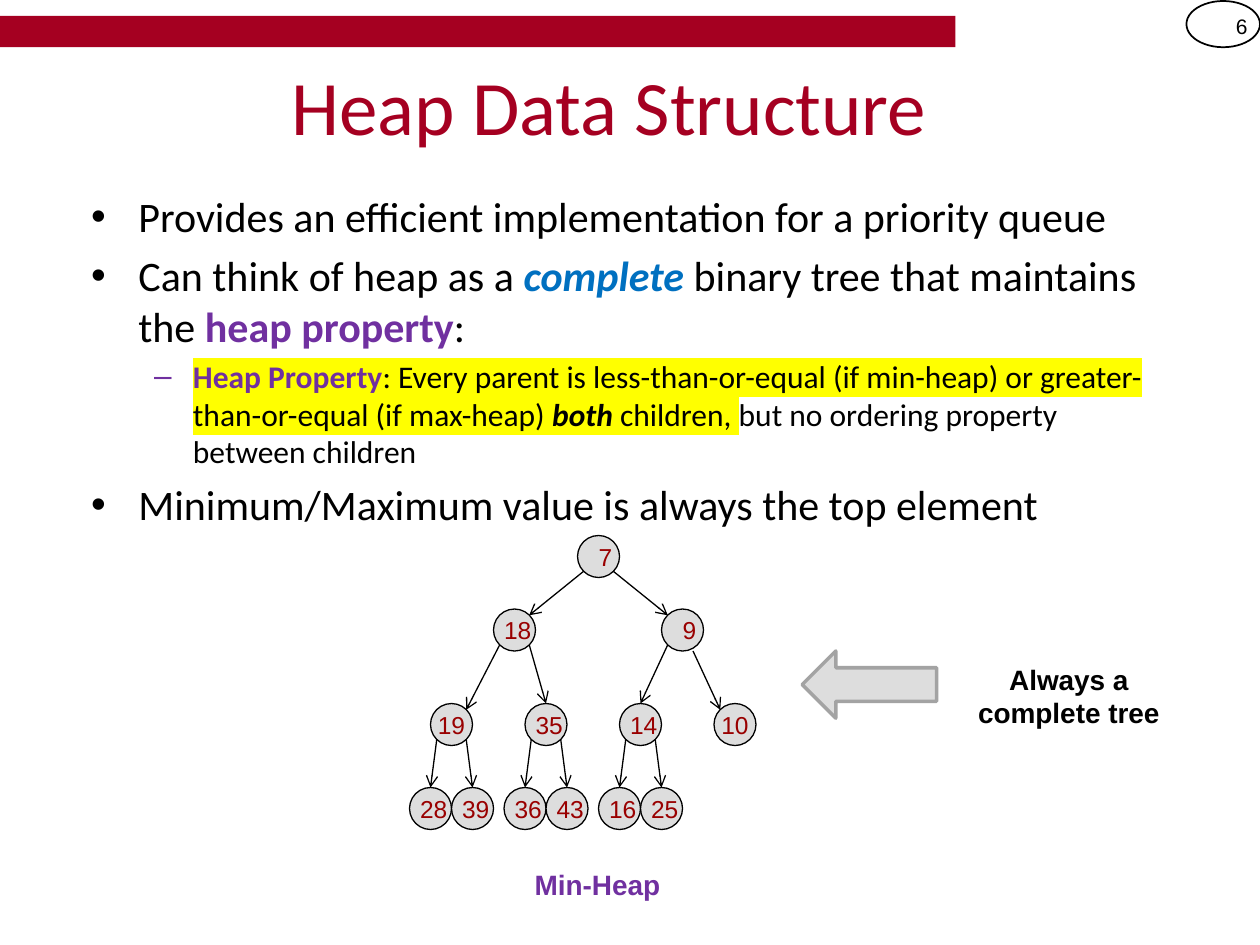
"""Build the Heap Data Structure slide with a min-heap diagram."""
import pptx
import pptx.util
import pptx.dml.color
import pptx.enum.shapes
import pptx.enum.text
import pptx.oxml.ns
import lxml.etree

PX = 7620
RGBColor = pptx.dml.color.RGBColor
BLACK = RGBColor(0x00, 0x00, 0x00)
CRIMSON = RGBColor(0xA5, 0x00, 0x21)
DARK_RED = RGBColor(0x99, 0x00, 0x00)
PURPLE = RGBColor(0x70, 0x30, 0xA0)
BLUE = RGBColor(0x00, 0x70, 0xC0)
LIGHT_GRAY = RGBColor(0xDD, 0xDD, 0xDD)
MID_GRAY = RGBColor(0xA3, 0xA3, 0xA3)
SHAPE = pptx.enum.shapes.MSO_SHAPE
ALIGN = pptx.enum.text.PP_ALIGN
ANCHOR = pptx.enum.text.MSO_ANCHOR
Pt = pptx.util.Pt
qn = pptx.oxml.ns.qn

presentation = pptx.Presentation()
presentation.slide_width = 1200 * PX
presentation.slide_height = 900 * PX
slide = presentation.slides.add_slide(presentation.slide_layouts[5])


def add_shape(kind, box, fill=None, line=None, width=0.75):
    shape = slide.shapes.add_shape(kind, *[value * PX for value in box])
    shape.shadow.inherit = False
    if fill is None:
        shape.fill.background()
    else:
        shape.fill.solid()
        shape.fill.fore_color.rgb = fill
    if line is None:
        shape.line.fill.background()
    else:
        shape.line.color.rgb = line
        shape.line.width = Pt(width)


def add_label(text, box, size, color, bold=False, align=ALIGN.CENTER):
    frame = slide.shapes.add_textbox(*[value * PX for value in box]).text_frame
    frame.word_wrap = True
    paragraph = frame.paragraphs[0]
    paragraph.text = text
    paragraph.alignment = align
    paragraph.font.name = "Arial"
    paragraph.font.size = Pt(size)
    paragraph.font.bold = bold
    paragraph.font.color.rgb = color
    return frame


add_shape(SHAPE.RECTANGLE, (0, 15, 910, 30), fill=CRIMSON)
add_shape(SHAPE.OVAL, (1130, 1, 70, 44), line=BLACK, width=1)
number = add_label("6", (1130, 1, 70, 48), 12, BLACK, align=ALIGN.RIGHT)
number.vertical_anchor = ANCHOR.MIDDLE

title = slide.shapes.title
title.left, title.top, title.width, title.height = 40 * PX, 40 * PX, 1080 * PX, 120 * PX
title.text_frame.text = "Heap Data Structure"
title.text_frame.vertical_anchor = ANCHOR.MIDDLE
paragraph = title.text_frame.paragraphs[0]
paragraph.alignment = ALIGN.CENTER
paragraph.font.name = "Calibri"
paragraph.font.size = Pt(44)
paragraph.font.color.rgb = CRIMSON

bullets = [
    (0, [("Provides an efficient implementation for a priority queue", BLACK, "")]),
    (0, [("Can think of heap as a ", BLACK, ""), ("complete", BLUE, "bi"),
         (" binary tree that maintains the ", BLACK, ""),
         ("heap property", PURPLE, "b"), (":", BLACK, "")]),
    (1, [("Heap Property", PURPLE, "bh"),
         (": Every parent is less-than-or-equal (if min-heap) or "
          "greater-than-or-equal (if max-heap) ", BLACK, "h"),
         ("both", BLACK, "bih"), (" children, ", BLACK, "h"),
         ("but no ordering property between children", BLACK, "")]),
    (0, [("Minimum/Maximum value is always the top element", BLACK, "")]),
]
level_styles = [("•", 45, 45, 24), ("–", 97, 37, 18)]
body = slide.shapes.add_textbox(75 * PX, 176 * PX, 1046 * PX, 240 * PX).text_frame
body.word_wrap = True
for index, (level, runs) in enumerate(bullets):
    mark, margin, hanging, size = level_styles[level]
    paragraph = body.add_paragraph() if index else body.paragraphs[0]
    paragraph.level = level
    if index:
        paragraph.space_before = Pt(size * 0.2)
    properties = paragraph._p.get_or_add_pPr()
    properties.set("marL", str(margin * PX))
    properties.set("indent", str(-hanging * PX))
    lxml.etree.SubElement(properties, qn("a:buFont")).set("typeface", "Arial")
    lxml.etree.SubElement(properties, qn("a:buChar")).set("char", mark)
    paragraph.font.name = "Calibri"
    paragraph.font.size = Pt(size)
    for text, color, style in runs:
        run = paragraph.add_run()
        run.text = text
        run.font.bold = "b" in style
        run.font.italic = "i" in style
        run.font.color.rgb = color
        if "h" in style:
            highlight = lxml.etree.SubElement(run.font._element, qn("a:highlight"))
            lxml.etree.SubElement(highlight, qn("a:srgbClr")).set("val", "FFFF00")

NODE = 40
nodes = [("7", 550, 510, 13), ("18", 470, 580, 6), ("9", 630, 580, 13)]
edges = [(556, 544, 504, 586), (584, 544, 636, 586),
         (476, 614, 444, 676), (504, 614, 520, 670),
         (636, 614, 610, 670), (660, 620, 686, 676)]
subtrees = [("19", 0, ("28", "39")), ("35", 6, ("36", "43")),
            ("14", 6, ("16", "25")), ("10", 0, ())]
for column, (value, shift, leaves) in enumerate(subtrees):
    left = 410 + 90 * column
    nodes.append((value, left, 670, shift))
    for side, leaf in enumerate(leaves):
        nodes.append((leaf, left - 20 + NODE * side, 750, 6))
        edges.append((left + 6 + 28 * side, 704, left + NODE * side, 750))

for value, left, top, shift in nodes:
    add_shape(SHAPE.OVAL, (left, top, NODE, NODE), fill=LIGHT_GRAY, line=BLACK)

for edge in edges:
    connector = slide.shapes.add_connector(
        pptx.enum.shapes.MSO_CONNECTOR.STRAIGHT, *[value * PX for value in edge])
    connector.line.color.rgb = BLACK
    connector.line.width = Pt(0.75)
    lxml.etree.SubElement(connector.line._get_or_add_ln(), qn("a:tailEnd")).set("type", "arrow")
    lxml.etree.SubElement(connector._element.spPr, qn("a:effectLst"))

for value, left, top, shift in nodes:
    label = add_label(value, (left - 10, top, 60, 41), 14, DARK_RED)
    label.margin_left = (12 + shift) * PX

add_label("Min-Heap", (494, 820, 150, 44), 16, PURPLE, bold=True)
add_label("Always a complete tree", (910, 625, 216, 77), 16, BLACK, bold=True)
add_shape(SHAPE.LEFT_ARROW, (764, 620, 128, 64), fill=LIGHT_GRAY, line=MID_GRAY, width=2)

presentation.save("out.pptx")
